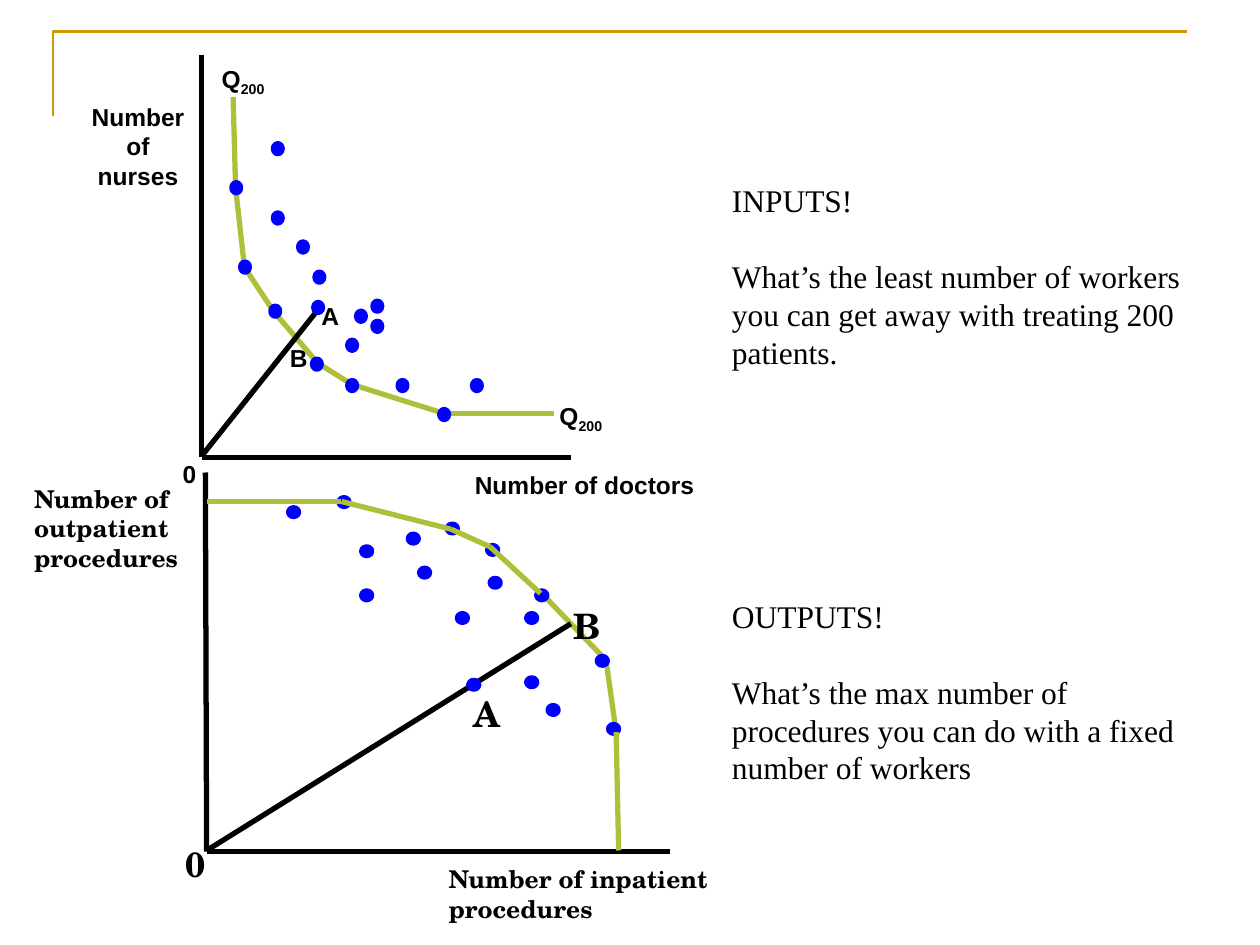
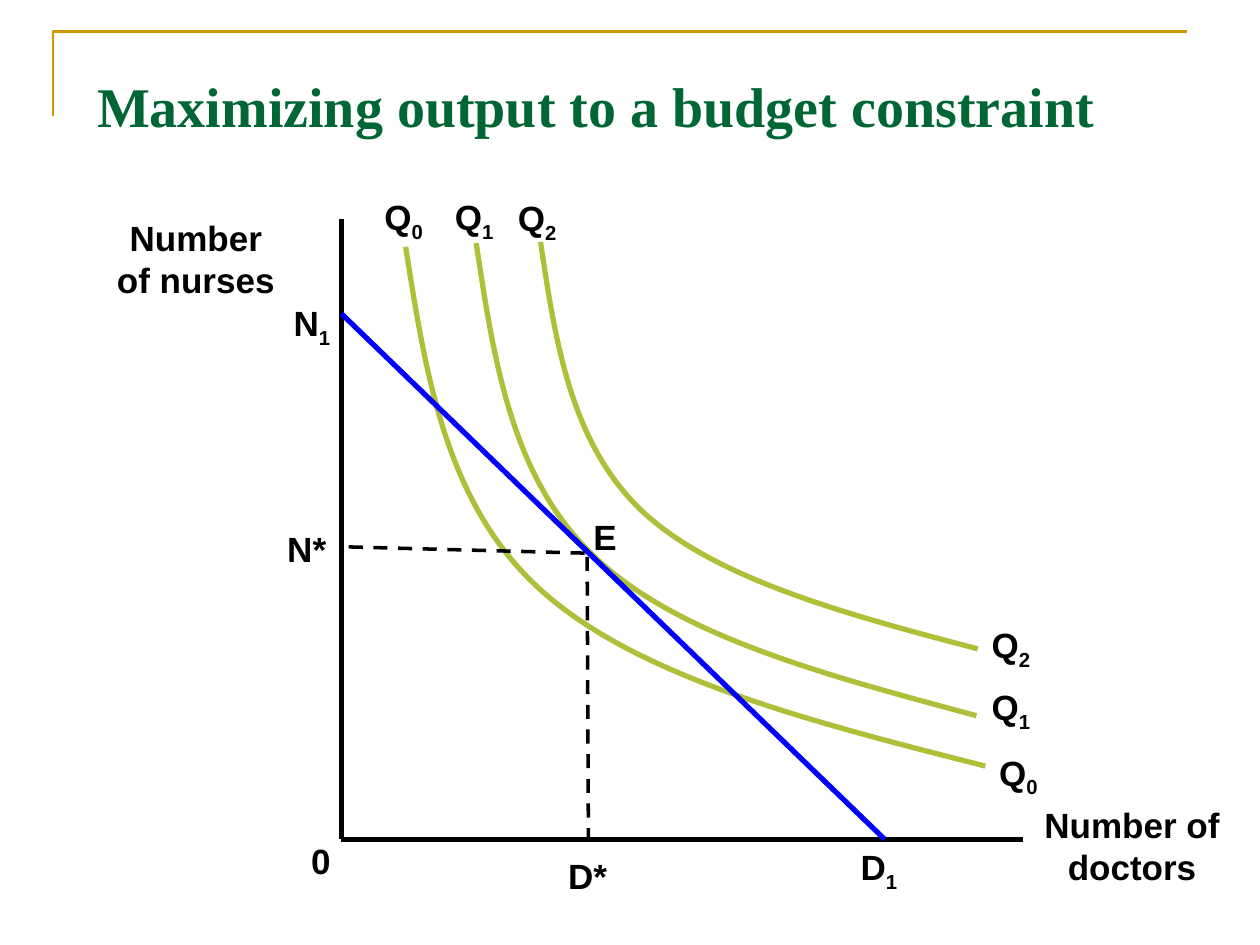
"""Build two slides on health-care production: efficiency frontiers and budget constraint."""
from itertools import pairwise

from lxml import etree
from pptx import Presentation
from pptx.dml.color import RGBColor
from pptx.enum.dml import MSO_LINE_DASH_STYLE as Dash
from pptx.enum.shapes import MSO_CONNECTOR, MSO_SHAPE
from pptx.enum.text import MSO_ANCHOR, PP_ALIGN as Align
from pptx.oxml.ns import qn
from pptx.util import Inches, Pt

COLOURS = {"bracket": "CC9900", "title": "006633", "curve": "AFBF39",
           "blue": "0000FF", "black": "000000"}
SERIF = "Times New Roman"
BRACKET = [(0.42, 0.92), (0.42, 0.25), (9.42, 0.25)]
LABEL_WIDTH = 0.4
LINE_PITCH, SUBSCRIPT_PITCH = 1.2, 1.37

INPUT_CHART = {
    "font": "Arial", "size": 14, "dot": (0.07, 0.08),
    "axes": [(1.6, 0.44), (1.6, 3.63), (4.53, 3.63)],
    "ray": [(1.6, 3.62), (2.53, 2.45)],
    "curve_behind": [(1.85, 0.77), (1.87, 1.49), (1.94, 2.12), (2.17, 2.47),
                     (2.52, 2.88), (2.79, 3.05), (3.52, 3.28), (4.4, 3.28)],
    "curve_front": [],
    "dots": [(1.84, 1.45), (2.17, 1.14), (1.91, 2.08), (2.15, 2.43), (2.48, 2.85),
             (2.76, 3.02), (3.49, 3.25), (2.17, 1.69), (2.49, 2.4), (2.96, 2.39),
             (2.37, 1.92), (2.5, 2.16), (2.76, 2.7), (3.16, 3.02), (2.83, 2.47),
             (3.75, 3.02), (2.96, 2.55)],
    "top_dots": [],
    "labels": [("0", 1.45, 3.64), ("A", 2.55, 2.39), ("B", 2.3, 2.72),
               ("Q_200", 1.76, 0.51, 0.74), ("Q_200", 4.44, 3.18, 0.76),
               ("Number of\nnurses", 0.67, 0.81, 0.85, Align.CENTER),
               ("Number of doctors", 3.73, 3.73, 1.82, Align.CENTER)],
}
OUTPUT_CHART = {
    "font": "TeX Gyre Schola", "size": 14, "dot": (0.08, 0.07),
    "axes": [(1.63, 3.75), (1.64, 6.76), (5.32, 6.76)],
    "ray": [(1.64, 6.75), (4.53, 4.95)],
    "curve_behind": [(4.3, 4.71), (4.81, 5.24), (4.89, 5.81)],
    "curve_front": [[(1.64, 3.98), (2.71, 3.98), (3.58, 4.2), (3.89, 4.34), (4.29, 4.71)],
                    [(4.89, 5.81), (4.91, 6.75)]],
    "dots": [(2.29, 4.03), (2.87, 4.69), (3.55, 4.16), (2.87, 4.34), (2.69, 3.95),
             (4.18, 5.38), (4.74, 5.21), (4.18, 4.87), (3.33, 4.51), (3.87, 4.33),
             (3.24, 4.24), (3.89, 4.59), (4.35, 5.6), (4.26, 4.69), (4.83, 5.75),
             (3.63, 4.87)],
    "top_dots": [(3.72, 5.4)],
    "labels": [("Number of outpatient\nprocedures", 0.27, 3.84, 1.28),
               ("Number of inpatient procedures", 3.56, 6.86, 2.85)],
}
OUTPUT_POINTS = [("0", 1.47, 6.69), ("A", 3.76, 5.5), ("B", 4.55, 4.8)]
NOTES = [
    (1.39, "INPUTS!",
     "What’s the least number of workers you can get away with treating 200 patients."),
    (4.69, "OUTPUTS!",
     "What’s the max number of procedures you can do with a fixed number of workers"),
]

BUDGET_TITLE = "Maximizing output to a budget constraint"
BUDGET_AXES = [(2.71, 1.74), (2.71, 6.66), (8.12, 6.66)]
BUDGET_LINE = [(2.71, 2.49), (7.02, 6.66)]
GUIDES = [[(4.64, 4.39), (2.74, 4.34)], [(4.66, 4.42), (4.67, 6.65)]]
ISOQUANTS = [
    [(3.22, 1.96), (3.38, 2.98), (3.54, 4.01), (4.3, 4.69), (5.07, 5.38), (6.44, 5.73),
     (7.82, 6.08)],
    [(3.78, 1.93), (3.92, 2.86), (4.06, 3.8), (4.72, 4.42), (5.38, 5.05), (6.56, 5.36),
     (7.75, 5.68)],
    [(4.29, 1.92), (4.41, 2.72), (4.53, 3.53), (5.11, 4.07), (5.69, 4.6), (6.73, 4.88),
     (7.76, 5.15)],
]
BUDGET_LABELS = [
    ("Q_0", 3.05, 1.55), ("Q_1", 3.61, 1.55), ("Q_2", 4.11, 1.56),
    ("Q_0", 7.93, 5.96), ("Q_1", 7.87, 5.44), ("Q_2", 7.87, 4.95),
    ("0", 2.47, 6.66), ("D_1", 6.83, 6.71), ("N_1", 2.33, 2.39),
    ("D*", 4.51, 6.78), ("N*", 2.28, 4.19), ("E", 4.71, 4.09),
    ("Number of nurses", 0.87, 1.72, 1.37, Align.CENTER),
    ("Number of doctors", 7.97, 6.38, 2.03, Align.CENTER),
]


def rgb(name):
    return RGBColor.from_string(COLOURS[name])


def style_line(shape, colour, width):
    shape.line.color.rgb = rgb(colour)
    shape.line.width = Pt(width)


def add_lines(slide, points, colour, width=3, dash=None):
    for start, end in pairwise(points):
        connector = slide.shapes.add_connector(
            MSO_CONNECTOR.STRAIGHT, *map(Inches, start + end))
        style_line(connector, colour, width)
        if dash:
            connector.line.dash_style = dash
        etree.SubElement(connector._element.spPr, qn("a:effectLst"))


def add_outline(slide, points, colour, width):
    start, *others = [(Inches(x), Inches(y)) for x, y in points]
    builder = slide.shapes.build_freeform(*start)
    builder.add_line_segments(others, close=False)
    shape = builder.convert_to_shape()
    shape.fill.background()
    shape.shadow.inherit = False
    style_line(shape, colour, width)
    return shape


def add_curve(slide, points):
    """Turn each three line segments of an outline into one Bézier segment."""
    shape = add_outline(slide, points, "curve", 3)
    segments = list(shape._element.iter(qn("a:lnTo")))
    for first in range(0, len(segments), 3):
        bezier = etree.Element(qn("a:cubicBezTo"))
        segments[first].addprevious(bezier)
        for segment in segments[first:first + 3]:
            bezier.append(segment[0])
            segment.getparent().remove(segment)


def add_dots(slide, corners, size):
    for corner in corners:
        dot = slide.shapes.add_shape(MSO_SHAPE.OVAL, *map(Inches, corner + size))
        dot.fill.solid()
        dot.fill.fore_color.rgb = rgb("blue")
        dot.shadow.inherit = False
        style_line(dot, "blue", 3)


def add_run(paragraph, text, font, size, colour="black", bold=True):
    run = paragraph.add_run()
    run.text = text
    run.font.name, run.font.size, run.font.bold = font, Pt(size), bold
    run.font.color.rgb = rgb(colour)
    paragraph.line_spacing = Pt(LINE_PITCH * size)
    return run


def add_text_box(slide, left, top, width, height, margins=(0, 0)):
    frame = slide.shapes.add_textbox(*map(Inches, (left, top, width, height))).text_frame
    frame.word_wrap = True
    frame.margin_left = frame.margin_right = Inches(margins[0])
    frame.margin_top = frame.margin_bottom = Inches(margins[1])
    return frame


def add_label(slide, font, size, text, left, top, width=LABEL_WIDTH, align=Align.LEFT):
    frame = add_text_box(slide, left, top, width, 0.33)
    for index, line in enumerate(text.split("\n")):
        paragraph = frame.add_paragraph() if index else frame.paragraphs[0]
        paragraph.alignment = align
        base, _, subscript = line.partition("_")
        add_run(paragraph, base, font, size)
        if subscript:
            run = add_run(paragraph, subscript, font, size)
            run._r.get_or_add_rPr().set("baseline", "-25000")
            paragraph.line_spacing = Pt(SUBSCRIPT_PITCH * size)


def add_frontier_chart(slide, chart):
    add_lines(slide, chart["curve_behind"], "curve")
    add_lines(slide, chart["axes"], "black")
    add_lines(slide, chart["ray"], "black")
    add_dots(slide, chart["dots"], chart["dot"])
    for points in chart["curve_front"]:
        add_lines(slide, points, "curve")
    add_dots(slide, chart["top_dots"], chart["dot"])
    for label in chart["labels"]:
        add_label(slide, chart["font"], chart["size"], *label)


def add_note(slide, top, heading, question):
    frame = add_text_box(slide, 5.71, top, 3.78, 1.6, (0.1, 0.05))
    add_run(frame.paragraphs[0], heading, SERIF, 18, bold=False)
    frame.paragraphs[0].space_after = Pt(21.6)
    add_run(frame.add_paragraph(), question, SERIF, 18, bold=False)


def build_frontier_slide(presentation):
    slide = presentation.slides.add_slide(presentation.slide_layouts[6])
    bracket = add_outline(slide, BRACKET, "bracket", 1.5)
    presentation.slide_master.shapes._spTree.append(bracket._element)
    for chart in (INPUT_CHART, OUTPUT_CHART):
        add_frontier_chart(slide, chart)
    for label in OUTPUT_POINTS:
        add_label(slide, OUTPUT_CHART["font"], 20, *label)
    for note in NOTES:
        add_note(slide, *note)


def build_budget_slide(presentation):
    slide = presentation.slides.add_slide(presentation.slide_layouts[5])
    title = slide.shapes.title
    title.left, title.top, title.width, title.height = map(Inches, (0.67, 0.52, 8.95, 1.2))
    title.text_frame.vertical_anchor = MSO_ANCHOR.TOP
    paragraph = title.text_frame.paragraphs[0]
    paragraph.alignment = Align.LEFT
    add_run(paragraph, BUDGET_TITLE, SERIF, 32, "title")
    add_lines(slide, BUDGET_AXES, "black")
    for points in ISOQUANTS:
        add_curve(slide, points)
    add_lines(slide, BUDGET_LINE, "blue")
    for guide in GUIDES:
        add_lines(slide, guide, "black", 2, Dash.DASH)
    for label in BUDGET_LABELS:
        add_label(slide, "Arial", 20, *label)


def main():
    presentation = Presentation()
    presentation.slide_width, presentation.slide_height = Inches(10), Inches(7.5)
    build_frontier_slide(presentation)
    build_budget_slide(presentation)
    presentation.save("out.pptx")


if __name__ == "__main__":
    main()
